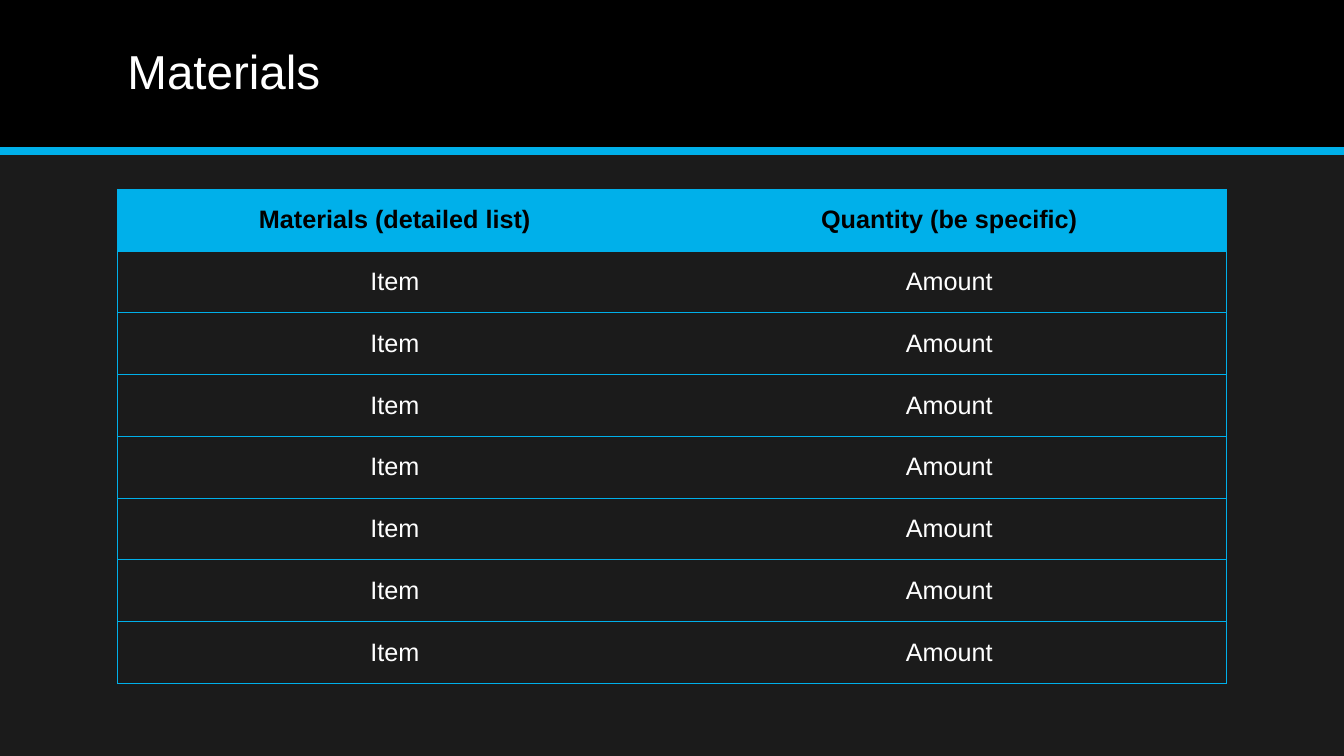
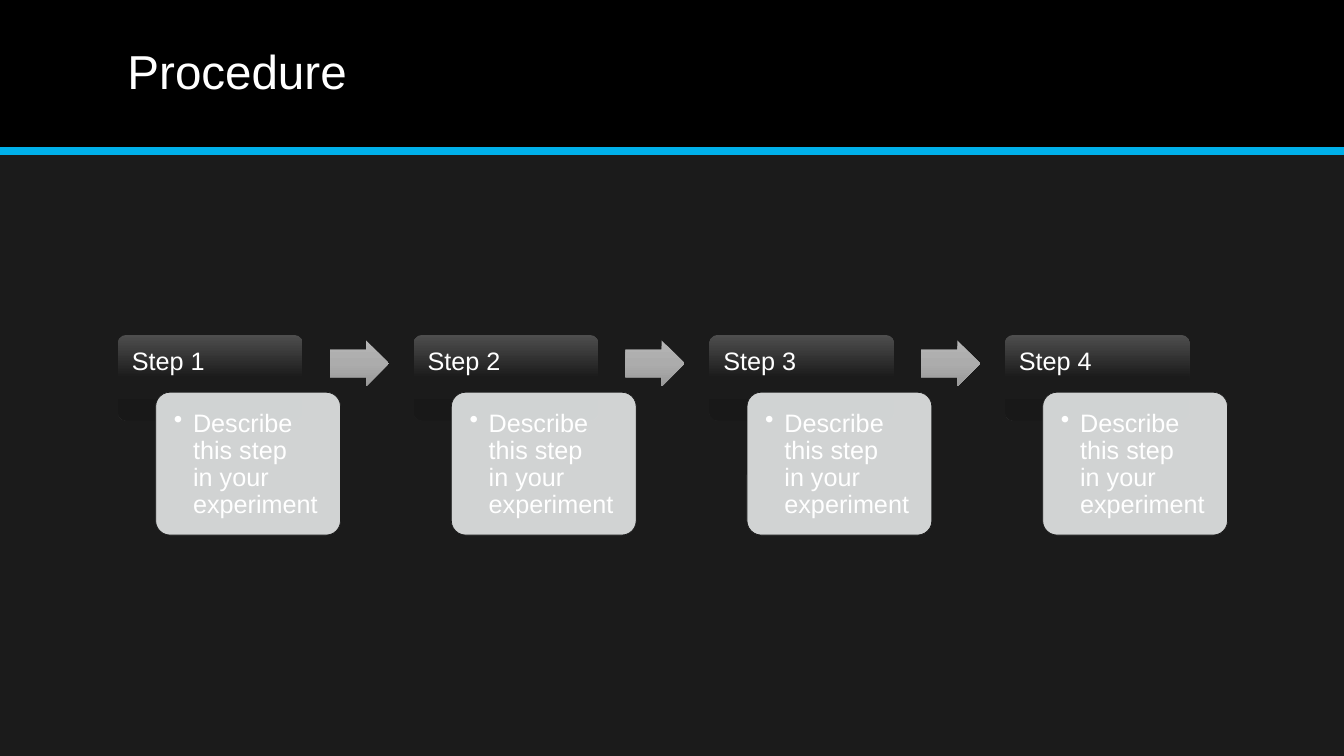
from lxml.etree import SubElement
from pptx import Presentation
from pptx.dml.color import RGBColor
from pptx.enum.shapes import MSO_CONNECTOR as CONN, MSO_SHAPE as SHAPE
from pptx.enum.text import MSO_ANCHOR as ANCHOR, PP_ALIGN as ALIGN
from pptx.oxml.ns import qn
from pptx.util import Pt

WIDTH, HEIGHT = 960, 540
LEFT, CONTENT_W = 84, 792
BAND_H = 108
FONT = "Arial"
BLACK, WHITE, DARK, ACCENT, CARD = "000000", "FFFFFF", "1B1B1B", "00B0EA", "E5E8E8"
TAB_STOPS = ((0, "4E4E4E"), (50, DARK), (100, "181818"))
ARROW_STOPS = ((0, "B5B5B5"), (50, "ACACAC"), (100, "999999"))
NO_STYLE = "{2D5ABB26-0587-4C30-8999-92F81FD0307C}"


def rgb(color):
    return RGBColor.from_string(color)


def add_color(parent, color):
    return SubElement(parent, qn("a:srgbClr"), val=color)


class Deck:
    def __init__(self):
        self.prs = Presentation()
        self.prs.slide_width, self.prs.slide_height = Pt(WIDTH), Pt(HEIGHT)
        bg = self.prs.slide_master.background.fill
        bg.solid()
        bg.fore_color.rgb = rgb(DARK)
        self.s = None

    def slide(self, title):
        self.s = self.prs.slides.add_slide(self.prs.slide_layouts[6])
        self.shape(SHAPE.RECTANGLE, 0, 0, WIDTH, BAND_H, fill=BLACK)
        self.line(0, BAND_H, WIDTH, BAND_H, ACCENT, 6)
        self.text(title, LEFT, 10, CONTENT_W, 86.4, size=34, anchor=ANCHOR.MIDDLE)

    def shape(self, kind, x, y, w, h, fill=None, stops=None, alpha=None, line=None, adj=()):
        sp = self.s.shapes.add_shape(kind, Pt(x), Pt(y), Pt(w), Pt(h))
        sp.shadow.inherit = False
        for i, value in enumerate(adj):
            sp.adjustments[i] = value
        if stops:
            self.gradient(sp, stops)
        else:
            sp.fill.solid()
            sp.fill.fore_color.rgb = rgb(fill)
        if alpha:
            clr = sp.fill._xPr.find(qn("a:solidFill")).find(qn("a:srgbClr"))
            SubElement(clr, qn("a:alpha"), val=str(alpha * 1000))
        if line:
            sp.line.color.rgb = rgb(line)
            sp.line.width = Pt(0.5)
        else:
            sp.line.fill.background()

    def gradient(self, sp, stops):
        sp.fill.gradient()
        sp.fill.gradient_angle = 270
        gs_list = sp._element.spPr.find(qn("a:gradFill")).find(qn("a:gsLst"))
        for gs in list(gs_list):
            gs_list.remove(gs)
        for pos, color in stops:
            add_color(SubElement(gs_list, qn("a:gs"), pos=str(pos * 1000)), color)

    def line(self, x1, y1, x2, y2, color, width):
        ln = self.s.shapes.add_connector(CONN.STRAIGHT, Pt(x1), Pt(y1), Pt(x2), Pt(y2))
        ln.line.color.rgb = rgb(color)
        ln.line.width = Pt(width)
        SubElement(ln._element.spPr, qn("a:effectLst"))

    def format(self, p, size=18, color=WHITE, bold=False):
        for r in p.runs:
            r.font.name, r.font.size, r.font.bold = FONT, Pt(size), bold
            r.font.color.rgb = rgb(color)

    def text(self, text, x, y, w, h, size=18, anchor=ANCHOR.TOP, insets=(7.2, 3.6, 7.2, 3.6), bullet=False):
        tf = self.s.shapes.add_textbox(Pt(x), Pt(y), Pt(w), Pt(h)).text_frame
        tf.word_wrap = True
        tf.vertical_anchor = anchor
        tf.margin_left, tf.margin_top, tf.margin_right, tf.margin_bottom = map(Pt, insets)
        p = tf.paragraphs[0]
        p.text = text
        p.line_spacing = 0.9
        self.format(p, size)
        if bullet:
            p.level = 1
            pPr = p._p.get_or_add_pPr()
            pPr.set("marL", str(Pt(13.7)))
            pPr.set("indent", str(-Pt(13.7)))
            SubElement(pPr, qn("a:buChar"), char="•")

    def borders(self, cell, sides):
        tcPr = cell._tc.get_or_add_tcPr()
        for side in sides:
            ln = SubElement(tcPr, qn("a:ln" + side), w=str(Pt(0.5)))
            add_color(SubElement(ln, qn("a:solidFill")), ACCENT)

    def table(self, rows, x, y, w, h):
        n_rows, n_cols = len(rows), len(rows[0])
        tbl = self.s.shapes.add_table(n_rows, n_cols, Pt(x), Pt(y), Pt(w), Pt(h)).table
        tbl._tbl.tblPr.find(qn("a:tableStyleId")).text = NO_STYLE
        for i, row in enumerate(rows):
            tbl.rows[i].height = Pt(h / n_rows)
            for j, value in enumerate(row):
                cell = tbl.cell(i, j)
                self.borders(cell, ("L" if j == 0 else "") + ("R" if j == n_cols - 1 else "") + "TB")
                cell.vertical_anchor = ANCHOR.MIDDLE
                p = cell.text_frame.paragraphs[0]
                p.text = value
                p.alignment = ALIGN.CENTER
                if i == 0:
                    cell.fill.solid()
                    cell.fill.fore_color.rgb = rgb(ACCENT)
                    self.format(p, color=BLACK, bold=True)
                else:
                    cell.fill.background()
                    self.format(p)

    def step(self, x, y, title, description):
        w, tab_h, card_h = 132, 41, 102
        card_x, card_y = x + 27, y + tab_h
        self.shape(SHAPE.ROUNDED_RECTANGLE, x, y, w, 61.2, stops=TAB_STOPS, adj=(0.1,))
        self.text(title, x, y, w, tab_h, insets=(10, 10, 10, 5))
        self.shape(SHAPE.ROUNDED_RECTANGLE, card_x, card_y, w, card_h,
                   fill=CARD, alpha=90, line=DARK, adj=(0.1,))
        self.text(description, card_x + 3, card_y + 3, w - 6, card_h - 6,
                  insets=(10, 10, 10, 10), bullet=True)

    def arrow(self, x, y):
        self.shape(SHAPE.RIGHT_ARROW, x, y, 42.4, 32.8, stops=ARROW_STOPS, adj=(0.6, 0.5))


deck = Deck()

deck.slide("Materials")
header = ("Materials (detailed list)", "Quantity (be specific)")
deck.table([header] + [("Item", "Amount")] * 7, LEFT, 135.2, CONTENT_W, 353)

deck.slide("Procedure")
STEPS, PITCH, STEP_Y = 4, 211.2, 239.2
for i in range(STEPS):
    step_x = LEFT + 0.2 + i * PITCH
    deck.step(step_x, STEP_Y, f"Step {i + 1}", "Describe this step\nin your experiment")
    if i < STEPS - 1:
        deck.arrow(step_x + 151.3, STEP_Y + 4)

deck.prs.save("out.pptx")
